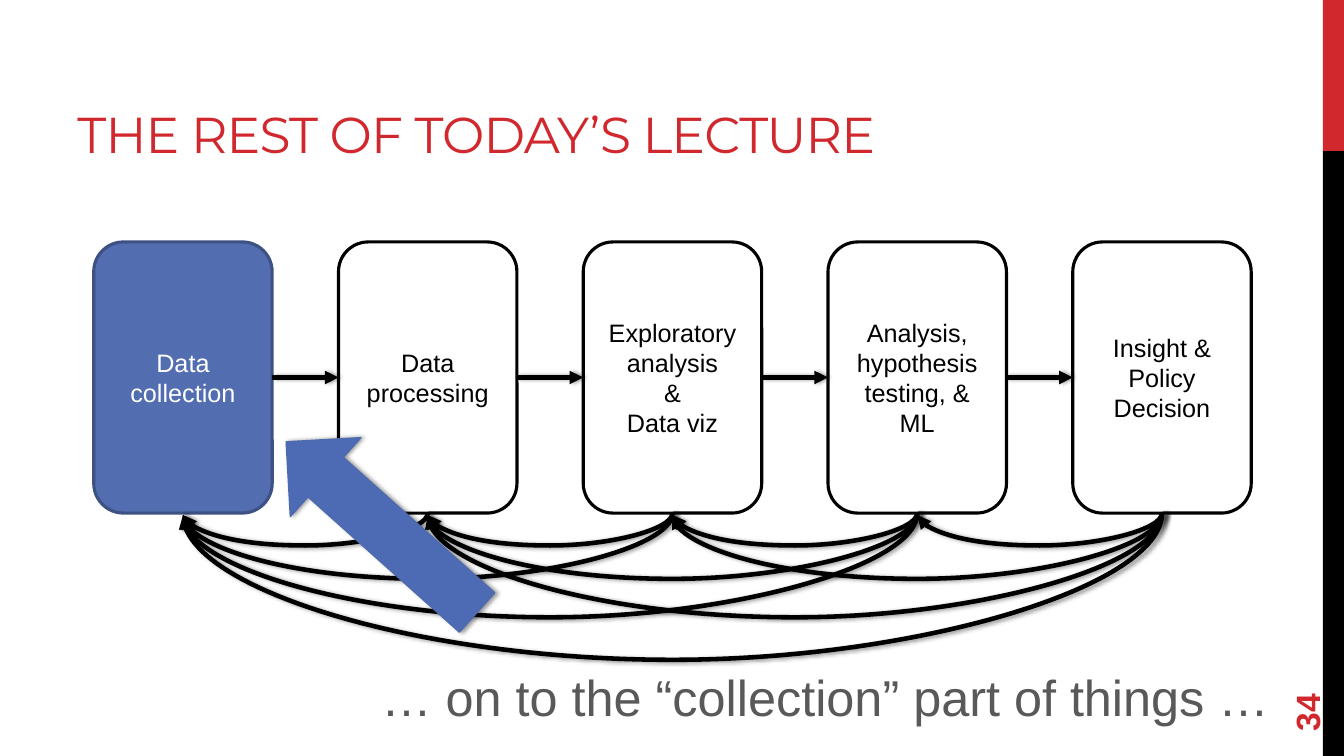
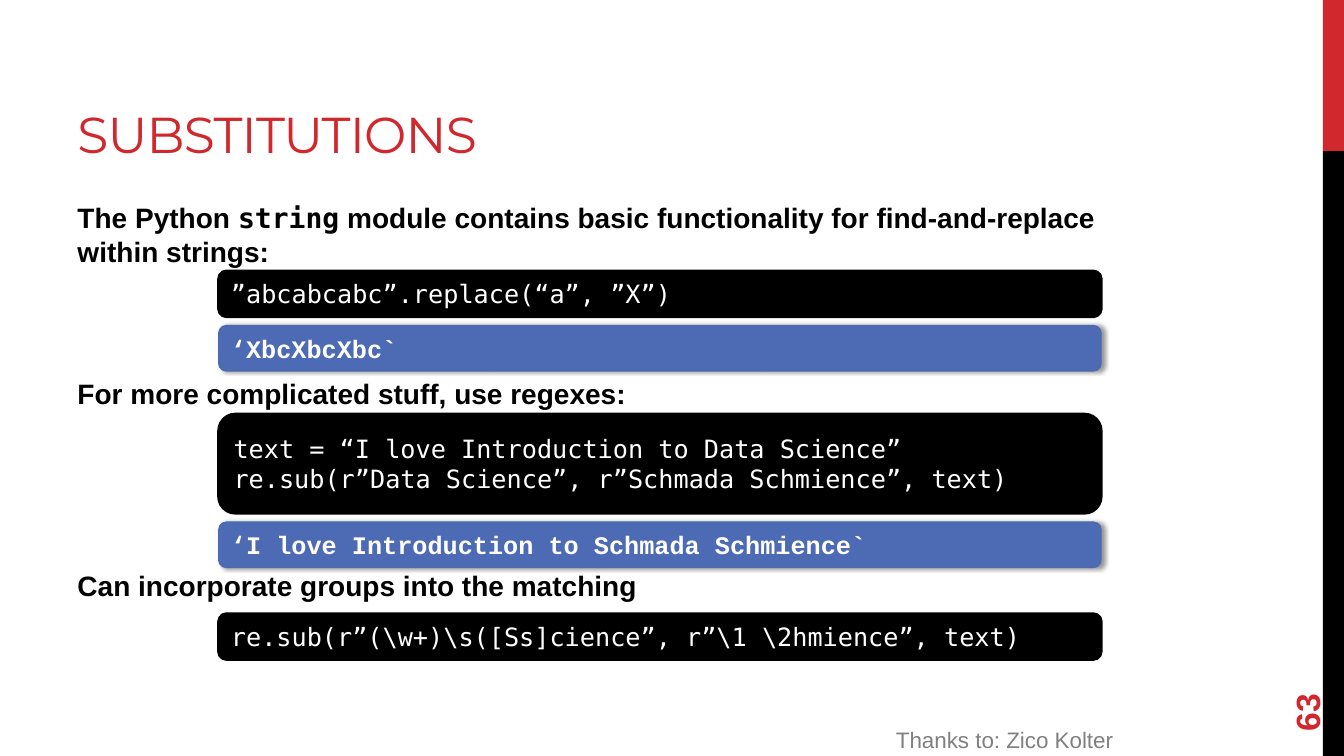
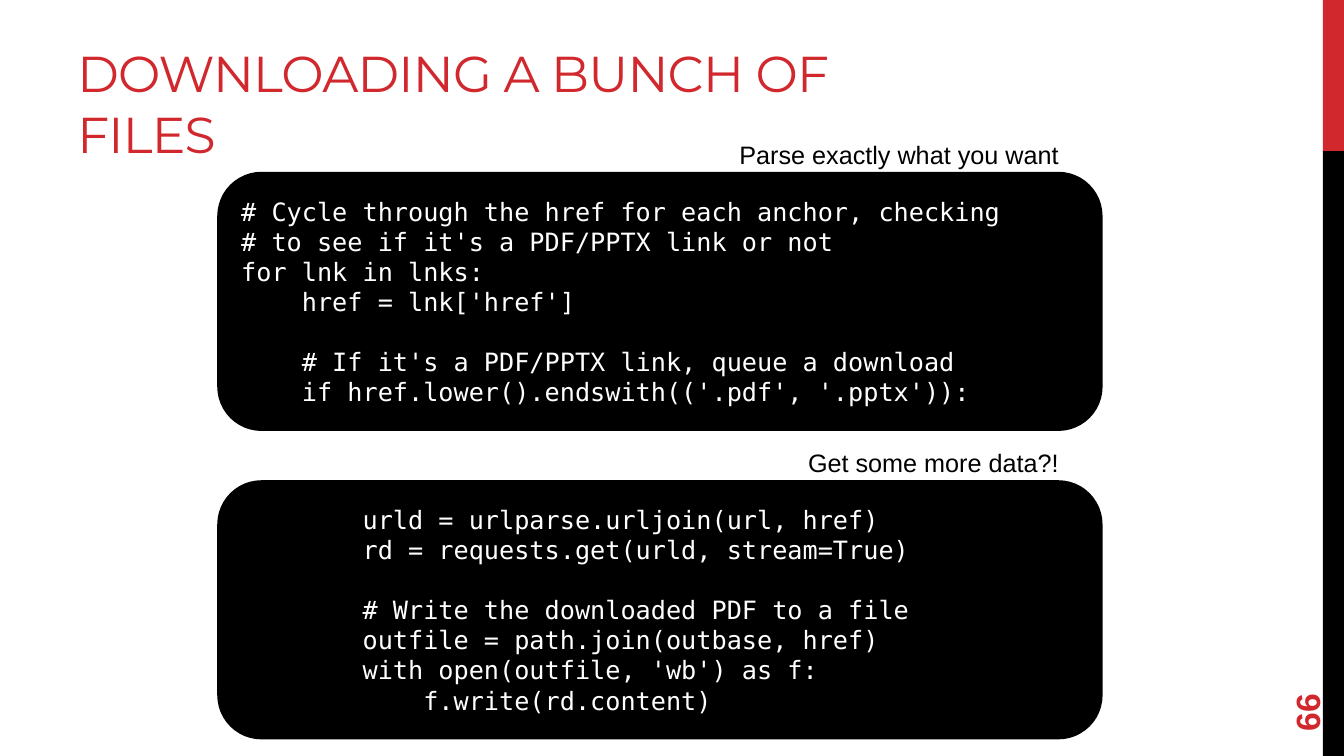
from itertools import combinations, pairwise

from lxml import etree
from pptx import Presentation
from pptx.dml.color import RGBColor
from pptx.enum.shapes import MSO_CONNECTOR, MSO_SHAPE
from pptx.enum.text import MSO_ANCHOR, PP_ALIGN
from pptx.oxml.ns import qn
from pptx.util import Emu, Inches, Pt

RED = RGBColor(0xD1, 0x28, 0x2E)
BLACK = RGBColor(0, 0, 0)
WHITE = RGBColor(0xFF, 0xFF, 0xFF)
STAGE_BLUE = RGBColor(0x52, 0x6D, 0xB0)
STAGE_EDGE = RGBColor(0x3D, 0x51, 0x82)
BLUE = RGBColor(0x4D, 0x6B, 0xB5)
BLUE_EDGE = RGBColor(0x4E, 0x6A, 0xAE)
DARK_GRAY = RGBColor(0x59, 0x59, 0x59)
GRAY = RGBColor(0x80, 0x80, 0x80)

SANS, MONO, COURIER, HEADING = "Arial", "DejaVu Sans Mono", "Courier New", "Montserrat"
LEFT, CENTER, RIGHT = PP_ALIGN.LEFT, PP_ALIGN.CENTER, PP_ALIGN.RIGHT
TOP, MIDDLE, BOTTOM = MSO_ANCHOR.TOP, MSO_ANCHOR.MIDDLE, MSO_ANCHOR.BOTTOM
RECT, ROUNDED, DOWN_ARROW = MSO_SHAPE.RECTANGLE, MSO_SHAPE.ROUNDED_RECTANGLE, MSO_SHAPE.DOWN_ARROW
STRAIGHT, CURVE = MSO_CONNECTOR.STRAIGHT, MSO_CONNECTOR.CURVE
SIDE_LEFT, SIDE_BOTTOM, SIDE_RIGHT = 1, 2, 3

SLIDE_W, SLIDE_H = 13.33, 7.5
MARGIN = 0.67
BAND_W = 0.21
CODE_LEFT, CODE_W = 2.17, 8.75
CODE_ROW = 0.45
CODE_LINE = 21  # height of one code line in points


def inches(*lengths):
    return [Inches(length) for length in lengths]


def write_text(frame, paragraphs, *, size=18, color=BLACK, font=SANS, bold=False,
               align=LEFT, anchor=TOP, spacing=None):
    """Each paragraph is a string or a list of (text, font) runs; "" opens a gap."""
    frame.word_wrap = True
    frame.vertical_anchor = anchor
    paragraph, gap = None, False
    for content in paragraphs:
        if not content:
            gap = True
            continue
        paragraph = frame.add_paragraph() if paragraph is not None else frame.paragraphs[0]
        paragraph.alignment = align
        if gap:
            paragraph.space_before = Pt(CODE_LINE)
            gap = False
        for words, face in [(content, font)] if isinstance(content, str) else content:
            run = paragraph.add_run()
            run.text = words
            run.font.name, run.font.size, run.font.bold = face, Pt(size), bold
            run.font.color.rgb = color
            if spacing is not None:
                run.font._element.set("spc", str(spacing))


def add_text(slide, box, paragraphs, **style):
    text_box = slide.shapes.add_textbox(*inches(*box))
    write_text(text_box.text_frame, paragraphs, **style)
    return text_box


def add_block(slide, kind, box, fill, edge=None, edge_width=2.25):
    block = slide.shapes.add_shape(kind, *inches(*box))
    block.shadow.inherit = False
    block.fill.solid()
    block.fill.fore_color.rgb = fill
    if edge is None:
        block.line.fill.background()
    else:
        block.line.color.rgb = edge
        block.line.width = Pt(edge_width)
    return block


def add_soft_shadow(shape):
    properties = shape._element.spPr
    effects = properties.find(qn("a:effectLst"))
    if effects is None:
        effects = etree.SubElement(properties, qn("a:effectLst"))
    shadow = etree.SubElement(effects, qn("a:outerShdw"), blurRad=str(Pt(3.1)),
                              dist=str(Pt(1.8)), dir="0", rotWithShape="0")
    tint = etree.SubElement(shadow, qn("a:srgbClr"), val=str(BLACK))
    etree.SubElement(tint, qn("a:alpha"), val="40000")


def add_frame(deck, title, number, title_w=8.44):
    """New slide with side bands, title and slide number."""
    slide = deck.slides.add_slide(deck.slide_layouts[6])
    red_h = SLIDE_H / 5
    band_left = SLIDE_W - BAND_W
    add_block(slide, RECT, (band_left, 0, BAND_W, red_h), RED)
    add_block(slide, RECT, (band_left, red_h, BAND_W, SLIDE_H - red_h), BLACK)
    add_text(slide, (MARGIN, 0.17, title_w, 1.5), [title], size=36, color=RED,
             font=HEADING, anchor=BOTTOM, spacing=-60)
    page = add_text(slide, (12.24, 6.37, 1.44, 0.53), [number], size=24, color=RED,
                    bold=True, anchor=MIDDLE)
    page.rotation = 270
    return slide


# Process diagram

def join(slide, kind, start, start_side, end, end_side):
    link = slide.shapes.add_connector(kind, 0, 0, 0, 0)
    link.begin_connect(start, start_side)
    link.end_connect(end, end_side)
    link.line.color.rgb = BLACK
    link.line.width = Pt(3.25)
    etree.SubElement(link.line._get_or_add_ln(), qn("a:tailEnd"), type="triangle")
    add_soft_shadow(link)
    return link


def add_feedback(slide, later, earlier, drop):
    """Curve from the bottom of a later stage back to an earlier one."""
    link = join(slide, CURVE, later, SIDE_BOTTOM, earlier, SIDE_BOTTOM)
    # A quarter-turned connector: its width runs down the slide
    depth = Inches(0.02)
    span = later.left - earlier.left
    center_x = earlier.left + earlier.width // 2 + span // 2
    center_y = later.top + later.height + depth // 2
    link.left, link.top = Emu(center_x - depth // 2), Emu(center_y - span // 2)
    link.width, link.height = depth, Emu(span)
    properties = link._element.spPr
    frame = properties.find(qn("a:xfrm"))
    for flip in ("flipH", "flipV"):
        frame.attrib.pop(flip, None)
    frame.set("rot", "5400000")
    bend = round(Inches(drop) / depth * 100000)
    guides = properties.find(qn("a:prstGeom")).get_or_add_avLst()
    etree.SubElement(guides, qn("a:gd"), name="adj1", fmla=f"val {bend}")


def add_process(slide, box, stages, stage_w, drops):
    left, top, width, height = box
    pitch = (width - stage_w) / (len(stages) - 1)
    blocks = []
    for column, label in enumerate(stages):
        current = column == 0
        block = add_block(slide, ROUNDED, (left + column * pitch, top, stage_w, height),
                          STAGE_BLUE if current else WHITE, STAGE_EDGE if current else BLACK)
        write_text(block.text_frame, label, color=WHITE if current else BLACK,
                   align=CENTER, anchor=MIDDLE)
        blocks.append(block)
    for before, after in pairwise(blocks):
        join(slide, STRAIGHT, before, SIDE_RIGHT, after, SIDE_LEFT)
    for first, last in combinations(range(len(blocks)), 2):
        add_feedback(slide, blocks[last], blocks[first], drops[last - first])


def build_lecture_slide(deck):
    slide = add_frame(deck, "THE REST OF TODAY’S LECTURE", "34", title_w=9.61)
    stages = [
        ["Data collection"],
        ["Data processing"],
        ["Exploratory analysis", "&", "Data viz"],
        ["Analysis, hypothesis testing, & ML"],
        ["Insight & Policy Decision"],
    ]
    add_process(slide, (0.93, 2.4, 11.48, 2.69), stages, stage_w=1.77,
                drops={1: 0.32, 2: 0.65, 3: 1.03, 4: 1.45})
    pointer = add_block(slide, DOWN_ARROW, (3.26, 3.96, 1.05, 2.54), BLUE, BLUE_EDGE, 1)
    pointer.rotation = 131.8
    add_soft_shadow(pointer)
    add_text(slide, (1.11, 6.56, 11.58, 0.71), ["… on to the “collection” part of things …"],
             size=36, color=DARK_GRAY, align=RIGHT)


# Code slides

def add_code(slide, top, height, code):
    block = add_block(slide, ROUNDED, (CODE_LEFT, top, CODE_W, height), BLACK, BLACK)
    write_text(block.text_frame, code, color=WHITE, font=MONO, anchor=MIDDLE)


def add_output(slide, top, result):
    block = add_block(slide, ROUNDED, (CODE_LEFT, top, CODE_W, CODE_ROW), BLUE, BLUE_EDGE, 1)
    add_soft_shadow(block)
    write_text(block.text_frame, [result], color=WHITE, font=COURIER, bold=True, anchor=MIDDLE)


def add_example(slide, caption_top, caption, code_top, code, code_h=CODE_ROW, result=None):
    """Caption, code block and, if given, the output under it."""
    add_text(slide, (MARGIN, caption_top, 11.11, 0.42), [caption], size=20, bold=True)
    add_code(slide, code_top, code_h, code)
    if result:
        add_output(slide, code_top + code_h + 0.09, result)


def build_substitutions_slide(deck):
    slide = add_frame(deck, "SUBSTITUTIONS", "63")
    intro = [("The Python ", SANS), ("string", MONO),
             (" module contains basic functionality for find-and-replace within strings:", SANS)]
    add_example(slide, 1.94, intro, 2.69, ["”abcabcabc”.replace(“a”, ”X”)"],
                result="‘XbcXbcXbc`")
    add_example(slide, 3.69, "For more complicated stuff, use regexes:", 4.11,
                ["text = “I love Introduction to Data Science”",
                 "re.sub(r”Data Science”, r”Schmada Schmience”, text)"],
                code_h=0.98, result="‘I love Introduction to Schmada Schmience`")
    add_example(slide, 5.59, "Can incorporate groups into the matching", 6.09,
                [r"re.sub(r”(\w+)\s([Ss]cience”, r”\1 \2hmience”, text)"])
    add_text(slide, (5.73, 7.15, 5.41, 0.37), ["Thanks to: Zico Kolter"],
             size=16, color=GRAY, align=RIGHT)


def add_listing(slide, top, label, code):
    """Right-aligned label sitting on a tall code block."""
    label_h = 0.39
    add_code(slide, top + label_h, 2.54, code)
    add_text(slide, (7.17, top, 3.43, label_h), [label], align=RIGHT)


def build_download_slide(deck):
    slide = add_frame(deck, "DOWNLOADING A BUNCH OF FILES", "66")
    add_listing(slide, 1.33, "Parse exactly what you want", [
        "# Cycle through the href for each anchor, checking",
        "# to see if it's a PDF/PPTX link or not",
        "for lnk in lnks:",
        "    href = lnk['href']",
        "",
        "    # If it's a PDF/PPTX link, queue a download",
        "    if href.lower().endswith(('.pdf', '.pptx')):",
    ])
    add_listing(slide, 4.39, "Get some more data?!", [
        "        urld = urlparse.urljoin(url, href)",
        "        rd = requests.get(urld, stream=True)",
        "",
        "        # Write the downloaded PDF to a file",
        "        outfile = path.join(outbase, href)",
        "        with open(outfile, 'wb') as f:",
        "            f.write(rd.content)",
    ])


def main():
    deck = Presentation()
    deck.slide_width, deck.slide_height = inches(SLIDE_W, SLIDE_H)
    build_lecture_slide(deck)
    build_substitutions_slide(deck)
    build_download_slide(deck)
    deck.save("out.pptx")


if __name__ == "__main__":
    main()
